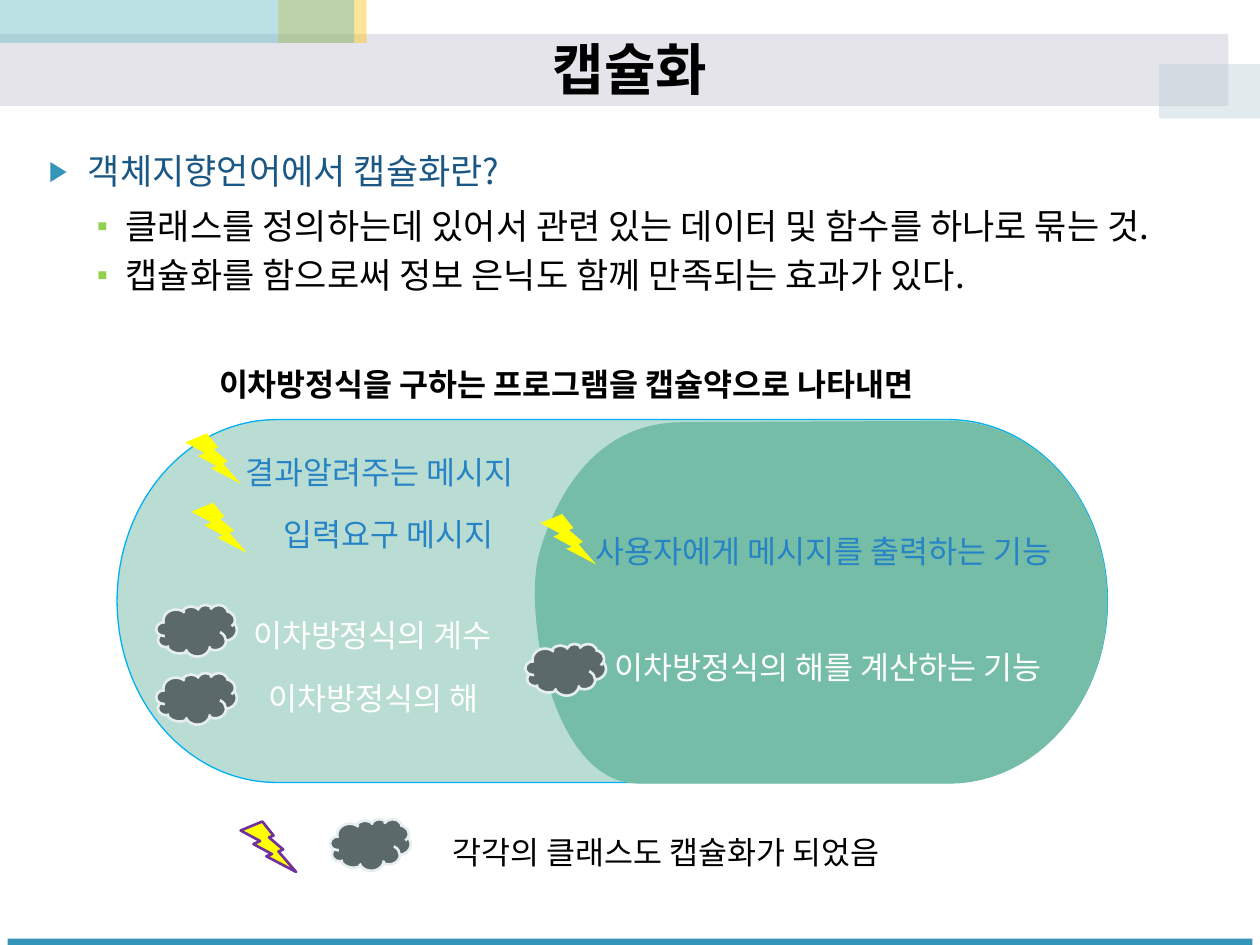
from lxml import etree
from pptx import Presentation
from pptx.dml.color import RGBColor
from pptx.enum import shapes, text
from pptx.oxml.ns import qn
from pptx.util import Inches, Pt

COLORS = {
    "black": "000000", "white": "FFFFFF", "blue": "2683C6", "navy": "1A5784",
    "accent": "3494BA", "lime": "92D050", "lilac": "AAA7BC", "amber": "FFC000",
    "teal": "58B6C0", "mist": "B5CDD3", "green": "75BDA7", "sky": "00B0F0",
    "yellow": "FFFF00", "purple": "7030A0", "slate": "5B696B", "pale": "E6EEF0",
}
KOREAN, LATIN = "Noto Sans CJK KR", "Cabin"
SHAPE = shapes.MSO_SHAPE


def rgb(name):
    return RGBColor.from_string(COLORS[name])


def write(p, words, size=18, color="black", font=LATIN, bold=False, align=None):
    r = p.add_run()
    r.text = words
    r.font.size, r.font.bold, r.font.name = Pt(size), bold, font
    r.font.color.rgb = rgb(color)
    etree.SubElement(r.font._element, qn("a:ea"), typeface=font)
    p.alignment = align


def set_bullet(p, char, color, percent, margin, hanging):
    pPr = p._p.get_or_add_pPr()
    pPr.set("marL", str(Inches(margin)))
    pPr.set("indent", str(-Inches(hanging)))
    clr = etree.SubElement(pPr, qn("a:buClr"))
    etree.SubElement(clr, qn("a:srgbClr"), val=COLORS[color])
    etree.SubElement(pPr, qn("a:buSzPct"), val=str(percent * 1000))
    etree.SubElement(pPr, qn("a:buFont"), typeface="Arial")
    etree.SubElement(pPr, qn("a:buChar"), char=char)


def bezier(start, c1, c2, end, steps=24):
    """Points along a cubic curve, without its start."""
    points = []
    for i in range(1, steps + 1):
        t = i / steps
        weights = ((1 - t) ** 3, 3 * t * (1 - t) ** 2, 3 * t * t * (1 - t), t ** 3)
        points.append(tuple(sum(w * q[axis] for w, q in zip(weights, (start, c1, c2, end)))
                            for axis in (0, 1)))
    return points


class Builder:
    def __init__(self, s):
        self.s = s

    def paint(self, sp, fill, line=None, width=1.5, alpha=None):
        sp.shadow.inherit = False
        sp.fill.solid()
        sp.fill.fore_color.rgb = rgb(fill)
        if alpha:
            clr = sp._element.spPr.find(qn("a:solidFill"))[0]
            etree.SubElement(clr, qn("a:alpha"), val=str(alpha * 1000))
        if line:
            sp.line.color.rgb = rgb(line)
            sp.line.width = Pt(width)
        else:
            sp.line.fill.background()

    def shape(self, kind, box, fill, **style):
        sp = self.s.shapes.add_shape(kind, *map(Inches, box))
        self.paint(sp, fill, **style)
        return sp

    def outline(self, points, fill):
        # Vertices are rounded to whole units, so they are given in EMU
        start, *rest = [(Inches(x), Inches(y)) for x, y in points]
        fb = self.s.shapes.build_freeform(*start, scale=1.0)
        fb.add_line_segments(rest, close=True)
        self.paint(fb.convert_to_shape(), fill)

    def bolt(self, x, y, line=None):
        self.shape(SHAPE.LIGHTNING_BOLT, (x, y, 0.44, 0.4), "yellow", line=line)

    def cloud(self, x, y):
        self.shape(SHAPE.CLOUD, (x, y, 0.64, 0.41), "slate", line="pale")

    def title(self, words, box):
        sp = self.s.shapes.title
        sp.left, sp.top, sp.width, sp.height = map(Inches, box)
        tf = sp.text_frame
        tf.vertical_anchor = text.MSO_ANCHOR.MIDDLE
        write(tf.paragraphs[0], words, size=32, font=KOREAN, bold=True,
              align=text.PP_ALIGN.CENTER)
        # Bring the title in front of the header bands
        self.s.shapes[-1]._element.addnext(sp._element)

    def label(self, words, x, y, w, wrap=True, **style):
        tf = self.s.shapes.add_textbox(*map(Inches, (x, y, w, 0.4))).text_frame
        tf.word_wrap = wrap
        tf.auto_size = text.MSO_AUTO_SIZE.SHAPE_TO_FIT_TEXT
        write(tf.paragraphs[0], words, **style)

    def body(self, heading, points, box):
        tf = self.s.shapes.add_textbox(*map(Inches, box)).text_frame
        tf.word_wrap = True
        for i, words in enumerate([heading, *points]):
            p = tf.add_paragraph() if i else tf.paragraphs[0]
            p.level = 1 if i else 0
            p.space_before, p.space_after = (Pt(4), Pt(0)) if i else (Pt(6), Pt(3))
            if i:
                set_bullet(p, "▪", "lime", 90, 0.61, 0.23)
            else:
                set_bullet(p, "▶", "accent", 80, 0.31, 0.31)
            write(p, words, size=20, color="black" if i else "navy", font=KOREAN)


def main():
    prs = Presentation()
    prs.slide_width, prs.slide_height = Inches(10), Inches(7.5)
    b = Builder(prs.slides.add_slide(prs.slide_layouts[5]))

    # Header bands and title
    for box, fill, alpha in (
        ((0, 0.27, 9.75, 0.57), "lilac", 30),
        ((2.21, -0.01, 0.7, 0.35), "amber", 40),
        ((-0.01, -0.01, 2.82, 0.35), "teal", 40),
        ((9.2, 0.51, 0.8, 0.43), "mist", 40),
    ):
        b.shape(SHAPE.RECTANGLE, box, fill, alpha=alpha)
    b.title("캡슐화", (0.29, 0.26, 9.42, 0.56))
    b.shape(SHAPE.RECTANGLE, (0.06, 7.45, 9.88, 0.05), "accent")

    # Definition
    b.body("객체지향언어에서 캡슐화란?", [
        "클래스를 정의하는데 있어서 관련 있는 데이터 및 함수를 하나로 묶는 것.",
        "캡슐화를 함으로써 정보 은닉도 함께 만족되는 효과가 있다.",
    ], (0.29, 1.14, 9.2, 6.11))

    # Capsule: pale whole, darker right half
    b.shape(SHAPE.FLOWCHART_TERMINATOR, (0.93, 3.33, 7.86, 2.88), "green",
            line="sky", width=0.75, alpha=50)
    b.outline([
        (5.42, 3.35), (7.53, 3.34),
        *bezier((7.53, 3.34), (8.23, 3.34), (8.79, 3.98), (8.79, 4.78)),
        *bezier((8.79, 4.78), (8.79, 5.57), (8.23, 6.22), (7.53, 6.22)),
        (5.07, 6.22),
        *bezier((5.07, 6.22), (4.37, 6.22), (4.15, 4.84), (4.28, 4.39)),
        *bezier((4.28, 4.39), (4.41, 3.94), (4.72, 3.35), (5.42, 3.35)),
    ], "green")

    # Labels
    b.label("이차방정식을 구하는 프로그램을 캡슐약으로 나타내면", 1.64, 2.85, 6.27,
            wrap=False, bold=True)
    for words, x, y, w, color in (
        ("사용자에게 메시지를 출력하는 기능", 4.63, 4.17, 4.34, "blue"),
        ("이차방정식의 해를 계산하는 기능", 4.78, 5.09, 3.97, "white"),
        ("입력요구 메시지", 2.15, 4.04, 3.77, "blue"),
        ("결과알려주는 메시지", 1.85, 3.55, 3.77, "blue"),
        ("이차방정식의 계수", 1.91, 4.84, 3.48, "white"),
        ("이차방정식의 해", 2.03, 5.34, 3.48, "white"),
    ):
        b.label(words, x, y, w, color=color)

    # Message and data markers
    for x, y in ((1.47, 3.44), (1.52, 3.99), (4.29, 4.08)):
        b.bolt(x, y)
    for x, y in ((1.24, 4.8), (1.24, 5.34), (4.17, 5.11)):
        b.cloud(x, y)

    # Legend
    b.bolt(1.91, 6.52, line="purple")
    b.cloud(2.62, 6.5)
    b.label("각각의 클래스도 캡슐화가 되었음", 3.49, 6.56, 3.95, wrap=False)

    prs.save("out.pptx")


if __name__ == "__main__":
    main()
